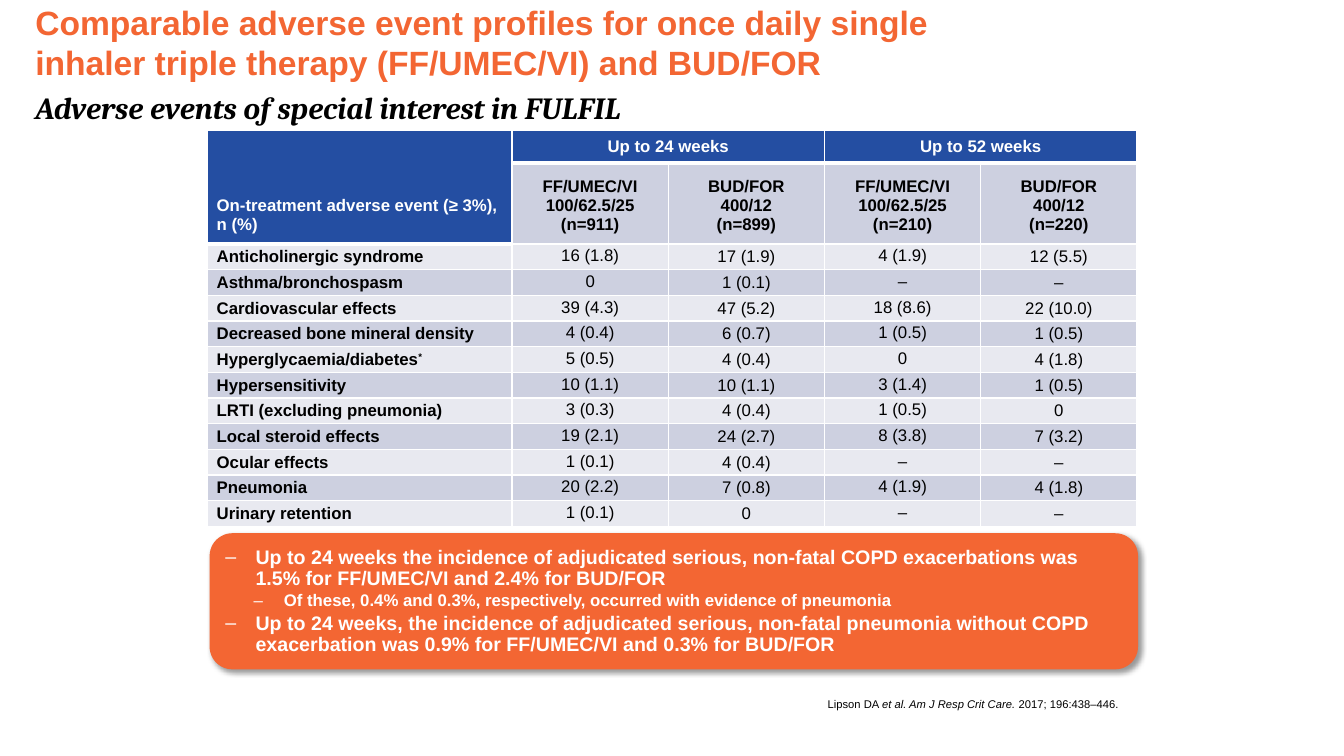
import pptx
import pptx.util
import pptx.dml.color
import pptx.enum.shapes
import pptx.enum.text
import pptx.oxml
import pptx.oxml.ns

Pt = pptx.util.Pt
Inches = pptx.util.Inches
Align = pptx.enum.text.PP_ALIGN
Anchor = pptx.enum.text.MSO_ANCHOR
NS = 'xmlns:a="http://schemas.openxmlformats.org/drawingml/2006/main"'

BLUE, ORANGE, WHITE, BLACK = "244EA2", "F36633", "FFFFFF", "000000"
BANDS = ("E8E9F0", "CDD0E0")

EVENTS = [
    ("Anticholinergic syndrome", "16 (1.8)", "17 (1.9)", "4 (1.9)", "12 (5.5)"),
    ("Asthma/bronchospasm", "0", "1 (0.1)", "–", "–"),
    ("Cardiovascular effects", "39 (4.3)", "47 (5.2)", "18 (8.6)", "22 (10.0)"),
    ("Decreased bone mineral density", "4 (0.4)", "6 (0.7)", "1 (0.5)", "1 (0.5)"),
    ("Hyperglycaemia/diabetes*", "5 (0.5)", "4 (0.4)", "0", "4 (1.8)"),
    ("Hypersensitivity", "10 (1.1)", "10 (1.1)", "3 (1.4)", "1 (0.5)"),
    ("LRTI (excluding pneumonia)", "3 (0.3)", "4 (0.4)", "1 (0.5)", "0"),
    ("Local steroid effects", "19 (2.1)", "24 (2.7)", "8 (3.8)", "7 (3.2)"),
    ("Ocular effects", "1 (0.1)", "4 (0.4)", "–", "–"),
    ("Pneumonia", "20 (2.2)", "7 (0.8)", "4 (1.9)", "4 (1.8)"),
    ("Urinary retention", "1 (0.1)", "0", "–", "–"),
]
ARMS = [
    ("FF/UMEC/VI", "100/62.5/25", "(n=911)"),
    ("BUD/FOR", "400/12", "(n=899)"),
    ("FF/UMEC/VI", "100/62.5/25", "(n=210)"),
    ("BUD/FOR", "400/12", "(n=220)"),
]
NOTES = [
    (0, "Up to 24 weeks the incidence of adjudicated serious, non-fatal COPD "
        "exacerbations was 1.5% for FF/UMEC/VI and 2.4% for BUD/FOR"),
    (1, "Of these, 0.4% and 0.3%, respectively, occurred with evidence of pneumonia"),
    (0, "Up to 24 weeks, the incidence of adjudicated serious, non-fatal pneumonia "
        "without COPD exacerbation was 0.9% for FF/UMEC/VI and 0.3% for BUD/FOR"),
]


def tint(code):
    return pptx.dml.color.RGBColor.from_string(code)


def node(xml):
    return pptx.oxml.parse_xml(xml)


def write(par, text, size=12, color=BLACK, bold=False, italic=False, font="Arial",
          align=Align.LEFT, line=1.0, before=0, after=0, base=0):
    par.alignment, par.line_spacing = align, line
    par.space_before, par.space_after = Pt(before), Pt(after)
    for i, part in enumerate(text.split("\v")):
        if i:
            par.add_line_break()
        run = par.add_run()
        run.text = part
        run.font.size, run.font.name = Pt(size), font
        run.font.bold, run.font.italic = bold, italic
        run.font.color.rgb = tint(color)
        if base:
            run._r.get_or_add_rPr().set("baseline", str(base * 1000))


def extend(frame, i):
    return frame.add_paragraph() if i else frame.paragraphs[0]


class Deck:
    cols, rows = 40, 30

    def __init__(self, wide, high):
        self.show = pptx.Presentation()
        self.show.slide_width, self.show.slide_height = Inches(wide), Inches(high)
        self.slide = self.show.slides.add_slide(self.show.slide_layouts[5])

    def across(self, n):
        return round(self.show.slide_width * n / self.cols)

    def down(self, n):
        return round(self.show.slide_height * n / self.rows)

    def area(self, x, y, w, h):
        return self.across(x), self.down(y), self.across(w), self.down(h)

    def setup(self, frame, anchor, inset):
        frame.word_wrap = True
        frame.auto_size = pptx.enum.text.MSO_AUTO_SIZE.NONE
        frame.vertical_anchor = anchor
        frame.margin_left = frame.margin_right = Inches(inset)
        frame.margin_top = frame.margin_bottom = Inches(inset)
        return frame

    def title(self, box, text, **look):
        shape = self.slide.shapes.title
        shape.left, shape.top, shape.width, shape.height = self.area(*box)
        frame = self.setup(shape.text_frame, Anchor.MIDDLE, 0)
        write(frame.paragraphs[0], text, **look)

    def label(self, box, parts, anchor=Anchor.TOP, inset=0, **look):
        shape = self.slide.shapes.add_textbox(*self.area(*box))
        frame = self.setup(shape.text_frame, anchor, inset)
        for text, extra in parts:
            write(frame.paragraphs[0], text, **{**look, **extra})

    def panel(self, box, notes):
        kind = pptx.enum.shapes.MSO_SHAPE.ROUNDED_RECTANGLE
        shape = self.slide.shapes.add_shape(kind, *self.area(*box))
        shape.fill.solid()
        shape.fill.fore_color.rgb = tint(ORANGE)
        shape.line.fill.background()
        shape.shadow.inherit = False
        shape._element.spPr.find(pptx.oxml.ns.qn("a:effectLst")).append(node(
            f'<a:outerShdw {NS} blurRad="50800" dist="38100" dir="2700000">'
            f'<a:srgbClr val="{BLACK}"><a:alpha val="40000"/></a:srgbClr></a:outerShdw>'))
        frame = self.setup(shape.text_frame, Anchor.MIDDLE, 0.08)
        for i, (level, text) in enumerate(notes):
            par = extend(frame, i)
            par.level = level
            props = par._p.get_or_add_pPr()
            props.set("marL", str(Inches((0.31, 0.59)[level])))
            props.set("indent", str(-Inches(0.3)))
            props.append(node(f'<a:buFont {NS} typeface="Arial"/>'))
            props.append(node(f'<a:buChar {NS} char="–"/>'))
            write(par, text, size=14 - 2 * level, color=WHITE, bold=True,
                  line=0.9, before=1 if i else 0, after=1)

    def table(self, box, wides, highs):
        frame = self.slide.shapes.add_table(len(highs), len(wides), *self.area(*box))
        grid = frame.table
        for col, wide in zip(grid.columns, wides):
            col.width = self.across(wide)
        for row, high in zip(grid.rows, highs):
            row.height = self.down(high)
        return grid

    def cell(self, cell, fill, lines, anchor=Anchor.MIDDLE, foot=0.01, rule=1, **look):
        props = cell._tc.get_or_add_tcPr()
        for side in "LRTB":
            width = Pt(rule if side == "B" else 1)
            props.append(node(
                f'<a:ln{side} {NS} w="{width}"><a:solidFill><a:srgbClr val="{WHITE}"/>'
                f'</a:solidFill></a:ln{side}>'))
        cell.fill.solid()
        cell.fill.fore_color.rgb = tint(fill)
        cell.vertical_anchor = anchor
        cell.margin_left = cell.margin_right = Inches(0.09)
        cell.margin_top, cell.margin_bottom = Inches(0.01), Inches(foot)
        for i, text in enumerate(lines):
            par = extend(cell.text_frame, i)
            write(par, text.rstrip("*"), **look)
            if text.endswith("*"):
                write(par, "*", base=30, **look)


def main():
    deck = Deck(13.33, 7.5)
    deck.title((1.05, 0, 29.6, 3.36),
               "Comparable adverse event profiles for once daily single "
               "inhaler triple therapy (FF/UMEC/VI) and BUD/FOR",
               size=24, color=ORANGE, bold=True)
    deck.label((1.05, 3.52, 33.25, 1.04),
               [("Adverse events of special interest in FULFIL", {})],
               size=22, font="Cambria", bold=True, italic=True)

    body = 1.02
    grid = deck.table((6.18, 5.16, 27.66, 15.74), [9.06] + [4.65] * 4,
                      [1.32, 3.2] + [body] * len(EVENTS))
    for row, col, end in ((0, 0, (1, 0)), (0, 1, (0, 2)), (0, 3, (0, 4))):
        grid.cell(row, col).merge(grid.cell(*end))
    head = dict(bold=True, color=WHITE, rule=3)
    deck.cell(grid.cell(0, 0), BLUE, ["On-treatment adverse event (≥ 3%),\vn (%)"],
              anchor=Anchor.BOTTOM, foot=0.1, **head)
    deck.cell(grid.cell(1, 0), BLUE, [], rule=3)
    for col, weeks in ((1, 24), (3, 52)):
        deck.cell(grid.cell(0, col), BLUE, [f"Up to {weeks} weeks"],
                  align=Align.CENTER, **head)
        deck.cell(grid.cell(0, col + 1), BLUE, [], rule=3)
    for col, arm in enumerate(ARMS, 1):
        deck.cell(grid.cell(1, col), BANDS[1], arm, anchor=Anchor.BOTTOM, foot=0.1,
                  bold=True, align=Align.CENTER)
    for row, event in enumerate(EVENTS):
        for col, text in enumerate(event):
            deck.cell(grid.cell(row + 2, col), BANDS[row % 2], [text], bold=col == 0,
                      align=Align.CENTER if col else Align.LEFT,
                      line=0.9 if col % 2 else 1.0)

    deck.panel((6.24, 21.16, 27.63, 5.4), NOTES)
    deck.label((7.08, 26.96, 26.82, 2.04),
               [("Lipson DA ", {}),
                ("et al. Am J Resp Crit Care. ", {"italic": True}),
                ("2017; 196:438–446.", {})],
               anchor=Anchor.BOTTOM, inset=0.2, size=8, align=Align.RIGHT, line=0.85)
    deck.show.save("out.pptx")


if __name__ == "__main__":
    main()
